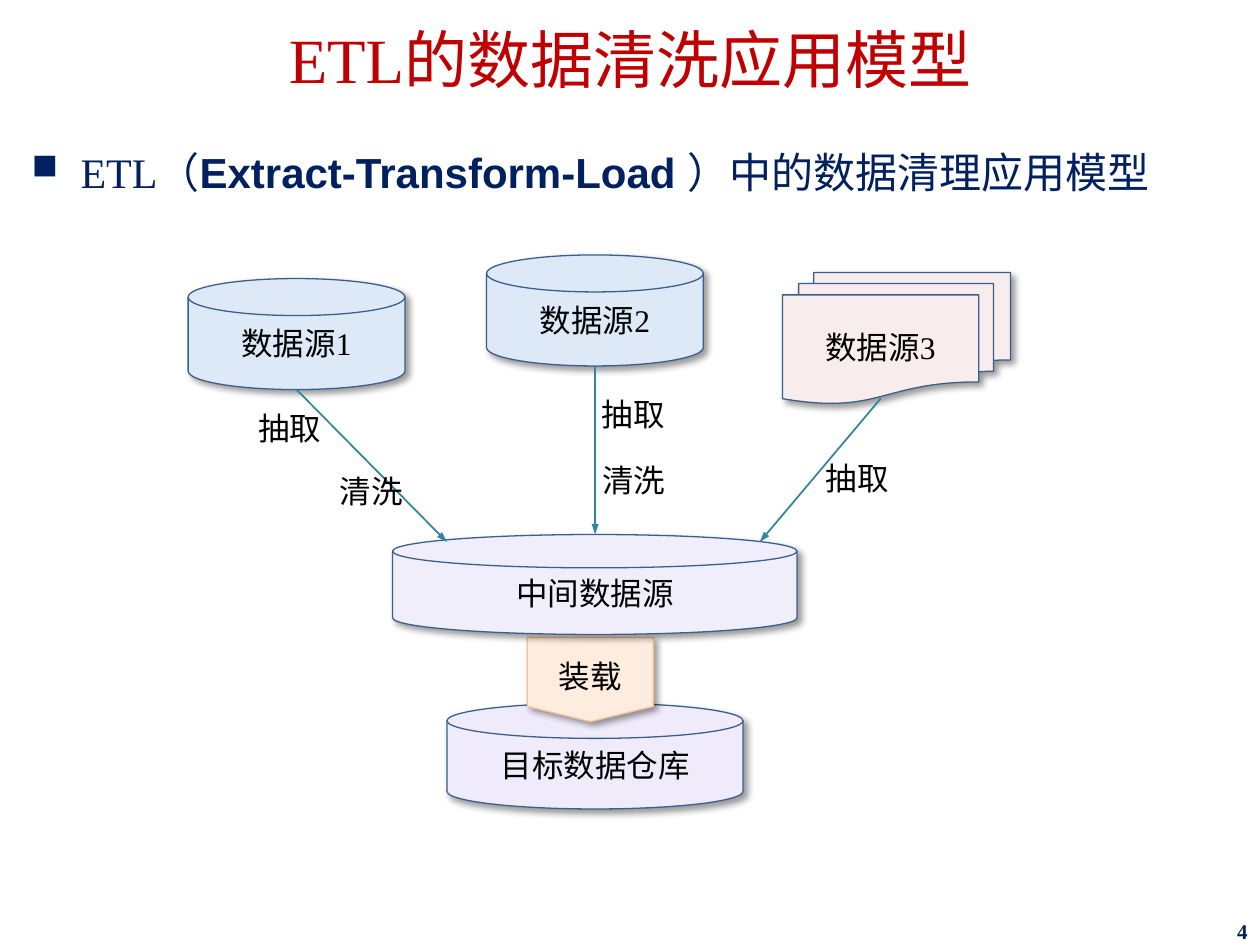
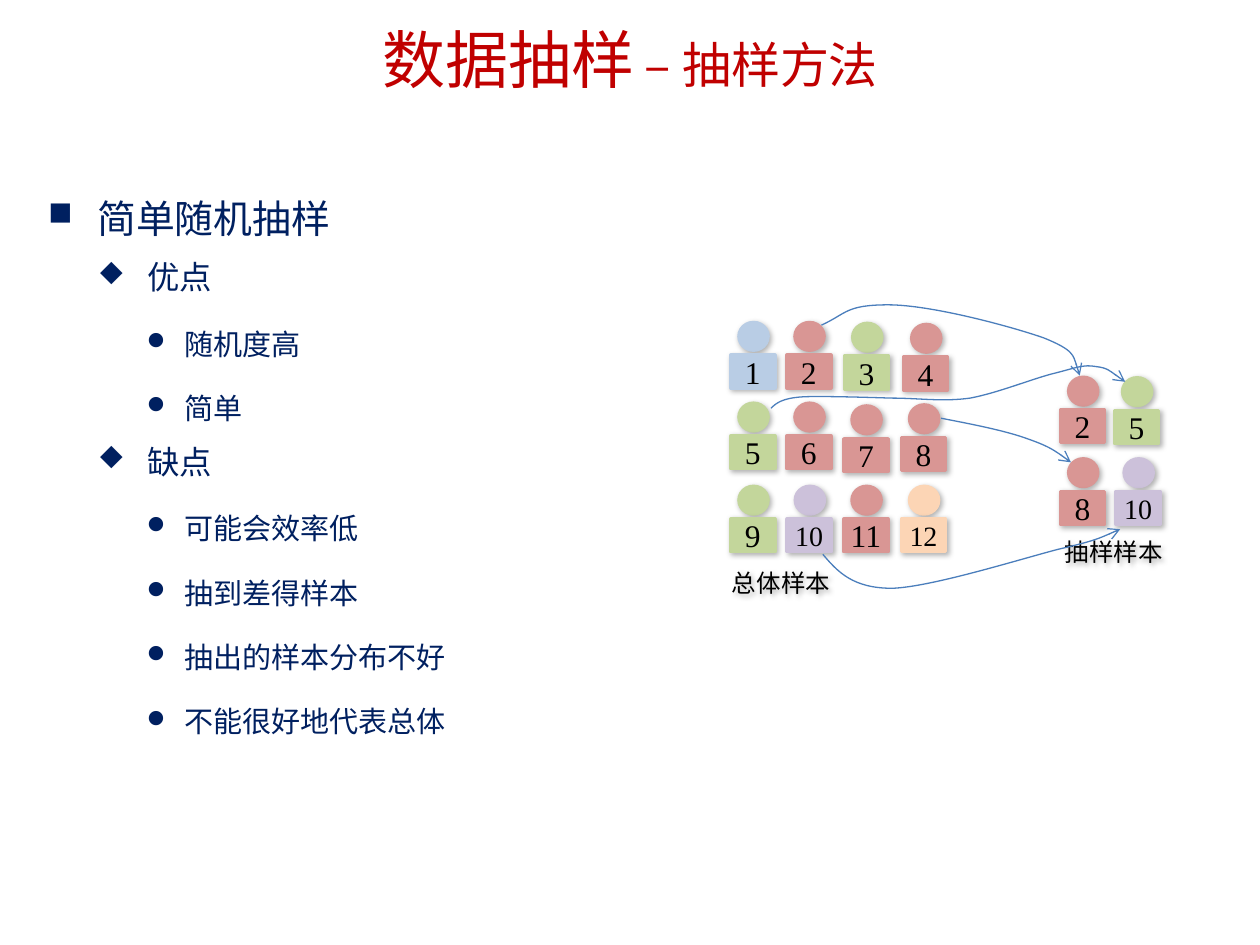
"""Build two slides: the ETL cleaning model and simple random sampling."""
import pptx
import pptx.dml.color
import pptx.enum.shapes
import pptx.enum.text
import pptx.oxml.ns
import pptx.util
from lxml import etree

Pt = pptx.util.Pt
KIND = pptx.enum.shapes.MSO_SHAPE
ALIGN = pptx.enum.text.PP_ALIGN
ANCHOR = pptx.enum.text.MSO_ANCHOR
qn = pptx.oxml.ns.qn
rgb = pptx.dml.color.RGBColor.from_string
RED, NAVY, BLACK = "C00000", "002060", "000000"
OUTLINE, ARROW, CURVE = "3A5F8C", "31859C", "4B7EBC"
SQUARE, DIAMOND, DISC = "n", "u", "l"
STRONG, SOFT = (4, 3, 40), (3, 1.6, 30)


def write(shape, text, add=None, size=18, color=BLACK, font="Times New Roman", bold=False,
          align=ALIGN.CENTER, anchor=ANCHOR.MIDDLE, insets=(0, 0, 0, 0),
          spacing=None, before=0, bullet=None, level=0, indent=(0, 0)):
    """Start a shape's text, or add a paragraph ("para") or a run ("span") to it."""
    frame = shape.text_frame
    if add is None:
        frame.word_wrap = True
        frame.vertical_anchor = anchor
        frame.margin_left, frame.margin_top, frame.margin_right, frame.margin_bottom = map(Pt, insets)
    para = frame.add_paragraph() if add == "para" else frame.paragraphs[-1]
    if add != "span":
        if bullet:
            properties = para._p.get_or_add_pPr()
            properties.set("marL", str(Pt(indent[0])))
            properties.set("indent", str(Pt(indent[1])))
            for tag, key, value in [("a:buSzPct", "val", "85000"),
                                    ("a:buFont", "typeface", "Wingdings"),
                                    ("a:buChar", "char", bullet)]:
                etree.SubElement(properties, qn(tag)).set(key, value)
        para.level = level
        para.alignment = align
        para.space_before = Pt(before)
        if spacing:
            para.line_spacing = spacing
    span = para.add_run()
    span.text = text
    span.font.size = Pt(size)
    span.font.name = font
    span.font.bold = bold
    span.font.color.rgb = rgb(color)


def style(shape, fill=None, line=None, weight=0.75, shadow=None, head=None):
    """Set the fill, line, shadow and arrowhead of a shape or connector."""
    if fill:
        shape.fill.solid()
        shape.fill.fore_color.rgb = rgb(fill)
    elif hasattr(shape, "fill"):
        shape.fill.background()
    if line:
        shape.line.color.rgb = rgb(line)
        shape.line.width = Pt(weight)
    else:
        shape.line.fill.background()
    if head:
        etree.SubElement(shape.line._get_or_add_ln(), qn("a:tailEnd"), **head)
    effects = etree.SubElement(shape._element.spPr, qn("a:effectLst"))
    if shadow:
        blur, distance, opacity = shadow
        cast = etree.SubElement(effects, qn("a:outerShdw"), blurRad=str(Pt(blur)),
                                dist=str(Pt(distance)), dir="2700000", algn="tl", rotWithShape="0")
        tint = etree.SubElement(cast, qn("a:srgbClr"), val=BLACK)
        etree.SubElement(tint, qn("a:alpha"), val=str(opacity * 1000))


deck = pptx.Presentation()
deck.slide_width, deck.slide_height = Pt(720), Pt(540)
pages = []
for title, subtitle in [("ETL的数据清洗应用模型", None), ("数据抽样", " – 抽样方法")]:
    page = deck.slides.add_slide(deck.slide_layouts[6])
    box = page.shapes.add_textbox(0, 0, Pt(720), Pt(64.6))
    write(box, title, size=36, color=RED, insets=(7.2, 11.5, 7.2, 3.6), spacing=0.9)
    if subtitle:
        write(box, subtitle, add="span", size=28, color=RED)
    pages.append(page)
model, sampling = pages

box = model.shapes.add_textbox(Pt(11), Pt(71.3), Pt(700), Pt(444))
write(box, "ETL（", size=24, color=NAVY, align=ALIGN.LEFT, anchor=ANCHOR.TOP,
      insets=(7.2, 3.6, 7.2, 3.6), spacing=1.3, bullet=SQUARE, indent=(28, -28))
write(box, "Extract-Transform-Load ", add="span", size=24, color=NAVY, font="Arial", bold=True)
write(box, "）中的数据清理应用模型", add="span", size=24, color=NAVY)

box = model.shapes.add_textbox(Pt(558), Pt(524.4), Pt(162), Pt(16))
write(box, "4", size=12, color=NAVY, bold=True, align=ALIGN.RIGHT, insets=(7.2, 2.9, 7.2, 3.6))

DISK = KIND.FLOWCHART_MAGNETIC_DISK
for text, kind, left, top, width, height, fill, line in [
    ("目标数据仓库", DISK, 255.4, 401.8, 169.2, 60.5, "F0EBFB", OUTLINE),
    ("装载", KIND.PENTAGON, 313.2, 352.3, 48.2, 72, "FEECDE", "FAC090"),
    ("数据源1", DISK, 107.5, 159.2, 123.9, 63.4, "DDE9F7", OUTLINE),
    ("数据源2", DISK, 278, 145.7, 123.9, 63.4, "DDE9F7", OUTLINE),
    ("数据源3", KIND.FLOWCHART_MULTIDOCUMENT, 447.1, 155.8, 130.3, 74.9, "F8EDEC", OUTLINE),
    ("中间数据源", DISK, 224.3, 305.5, 231.1, 57.1, "F1EEFC", OUTLINE),
]:
    shape = model.shapes.add_shape(kind, Pt(left), Pt(top), Pt(width), Pt(height))
    style(shape, fill, line, shadow=STRONG)
    write(shape, text)
    if kind == KIND.PENTAGON:
        shape.rotation = 90
        shape.adjustments[0] = 0.18
        shape.text_frame._txBody.bodyPr.set("vert", "vert270")

for start_x, start_y, end_x, end_y in [
    (169.4, 222.6, 255.4, 309.7), (340.1, 209.1, 340.1, 305.5), (503.3, 227.7, 434.2, 309.7),
]:
    arrow = model.shapes.add_connector(
        pptx.enum.shapes.MSO_CONNECTOR.STRAIGHT, Pt(start_x), Pt(start_y), Pt(end_x), Pt(end_y))
    style(arrow, line=ARROW, weight=1, head=dict(type="triangle", w="sm", len="med"))

for text, left, top in [
    ("抽取", 147.6, 233.6), ("抽取", 472, 262.3), ("清洗", 194, 269.6),
    ("抽取", 343.8, 225.7), ("清洗", 344.2, 263.5),
]:
    box = model.shapes.add_textbox(Pt(left), Pt(top), Pt(46), Pt(36))
    write(box, text, align=ALIGN.LEFT, anchor=ANCHOR.TOP)

levels = [
    dict(size=22.2, spacing=1.2, bullet=SQUARE, indent=(28.1, -28.1)),
    dict(size=18.5, spacing=1.2, before=5, bullet=DIAMOND, indent=(56.6, -28.1)),
    dict(size=16.6, spacing=1.6, before=5, bullet=DISC, indent=(78, -21.6)),
]
box = sampling.shapes.add_textbox(Pt(20.4), Pt(102.3), Pt(534), Pt(332))
for index, (level, text) in enumerate([
    (0, "简单随机抽样"),
    (1, "优点"), (2, "随机度高"), (2, "简单"),
    (1, "缺点"), (2, "可能会效率低"), (2, "抽到差得样本"),
    (2, "抽出的样本分布不好"), (2, "不能很好地代表总体"),
]):
    write(box, text, add="para" if index else None, color=NAVY, align=ALIGN.LEFT,
          anchor=ANCHOR.TOP, insets=(7.2, 3.6, 7.2, 3.6), level=level, **levels[level])

BLUE, PINK, GREEN, PURPLE, ORANGE = "B9CDE5", "D99694", "C3D69B", "CCC1DA", "FCD5B5"
person_colors = dict.fromkeys(range(1, 13), PINK)
person_colors.update({1: BLUE, 3: GREEN, 5: GREEN, 9: GREEN, 10: PURPLE, 12: ORANGE})
for number, left, top in [
    (1, 417.6, 203), (2, 449.6, 203), (3, 482.6, 203.5), (4, 516.3, 204.1),
    (5, 417.6, 249.1), (6, 449.6, 249.1), (7, 482.2, 250.7), (8, 515.1, 250.1),
    (9, 417.6, 296.6), (10, 449.8, 296.6), (11, 482.2, 296.6), (12, 515.1, 296.6),
    (2, 606, 234.3), (5, 636.8, 234.6), (8, 606, 280.9), (10, 637.7, 280.9),
]:
    color = person_colors[number]
    head = sampling.shapes.add_shape(KIND.OVAL, Pt(left + 4.7), Pt(top - 18.7), Pt(16.6), Pt(15.8))
    body = sampling.shapes.add_shape(KIND.RECTANGLE, Pt(left), Pt(top), Pt(25.2), Pt(18.7))
    for part in (head, body):
        style(part, color, color, weight=2, shadow=SOFT)
    write(body, str(number), size=16 if number in (10, 12) else 18)

for text, left, top, width, align in [
    ("总体样本", 418.3, 323.6, 69, ALIGN.LEFT), ("抽样样本", 605.8, 306, 61.2, ALIGN.CENTER),
]:
    box = sampling.shapes.add_textbox(Pt(left), Pt(top), Pt(width), Pt(18.7))
    style(box, shadow=SOFT)
    write(box, text, size=14, align=align)

for knots in [
    [(469.4, 185.8), (483.8, 179.3), (483.1, 174.2), (507.6, 174.2), (532.1, 174.2),
     (577.4, 186.5), (596.2, 193), (614.2, 200.2), (614.9, 207.4), (617, 214.6)],
    [(440.6, 233.3), (443.5, 230.4), (447.1, 227.5), (458.6, 226.8), (469.4, 226.1),
     (509, 227.5), (509, 227.5), (525.6, 227.5), (538.6, 229.7), (554.4, 227.5),
     (570.2, 224.6), (591.1, 216), (603.4, 213.1), (614.9, 210.2), (619.2, 208.1),
     (626.4, 209.5), (632.9, 210.2), (637.9, 214.6), (643, 218.2)],
    [(537.8, 239), (556.6, 242.6), (574.6, 246.2), (586.8, 250.6), (599, 254.9),
     (605.5, 259.2), (612, 264.2)],
    [(470.2, 316.8), (478.8, 326.9), (487.4, 336.2), (509.8, 336.2), (532.1, 335.5),
     (582.5, 319.7), (604.8, 313.9), (626.4, 308.9), (633.6, 305.3), (640.1, 302.4)],
]:
    start, *rest = [(Pt(x), Pt(y)) for x, y in knots]
    builder = sampling.shapes.build_freeform(*start)
    builder.add_line_segments(rest, close=False)
    curve = builder.convert_to_shape()
    segments = list(curve._element.iter(qn("a:lnTo")))
    for first in range(0, len(segments), 3):
        bend = etree.SubElement(segments[first].getparent(), qn("a:cubicBezTo"))
        for segment in segments[first:first + 3]:
            bend.append(segment[0])
            segment.getparent().remove(segment)
    style(curve, line=CURVE, head=dict(type="arrow"))

deck.save("out.pptx")
